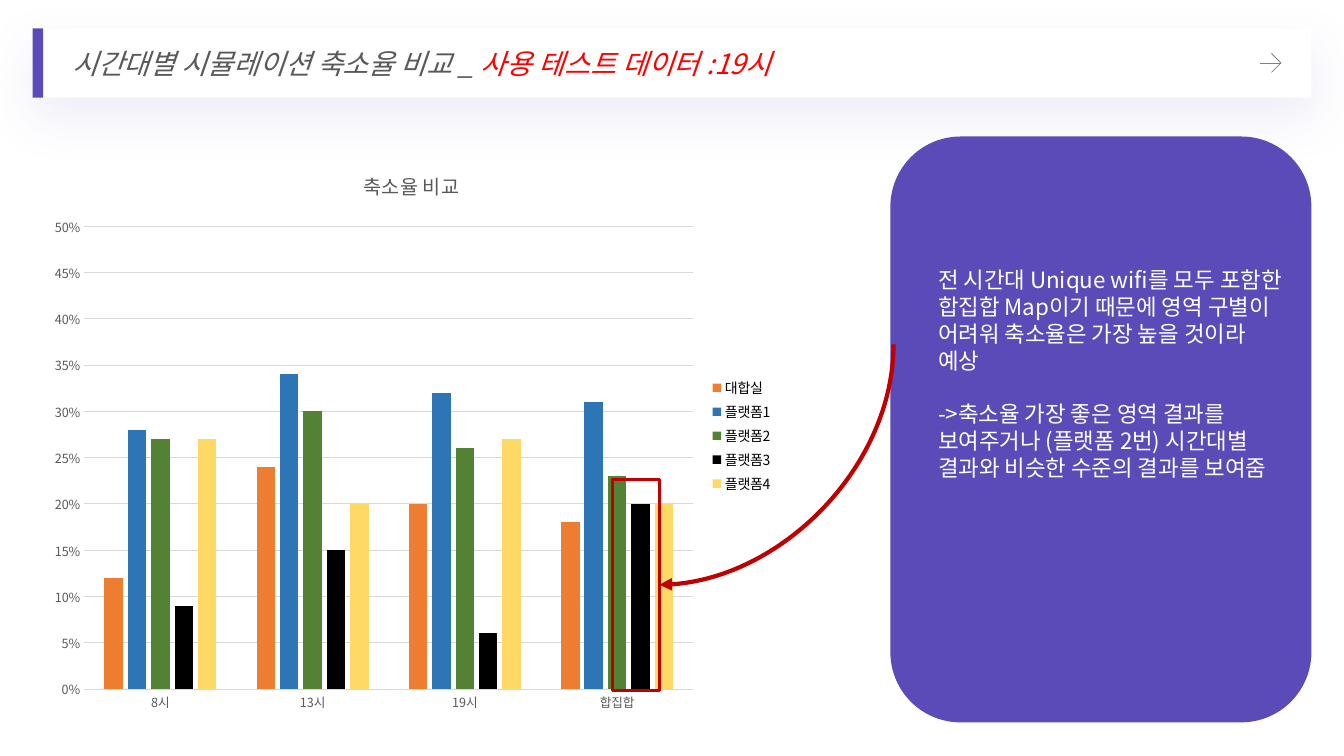
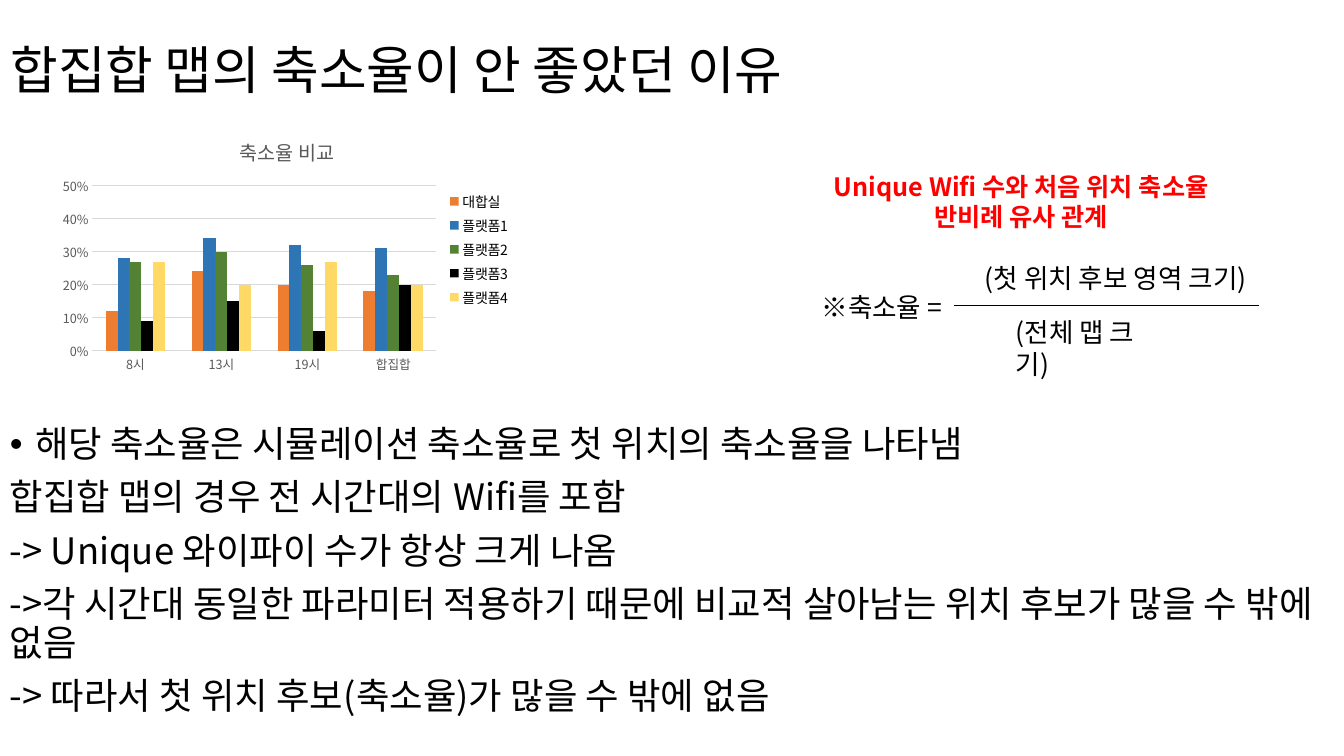
"""Build two slides on reduction rates by time of day."""
from lxml.etree import SubElement
from pptx import Presentation
from pptx.chart.data import CategoryChartData
from pptx.dml.color import RGBColor
from pptx.enum.chart import XL_CHART_TYPE, XL_LEGEND_POSITION, XL_TICK_MARK
from pptx.enum.shapes import MSO_CONNECTOR, MSO_SHAPE
from pptx.enum.text import MSO_ANCHOR, MSO_AUTO_SIZE, PP_ALIGN
from pptx.oxml.ns import qn
from pptx.util import Pt

PX = 9525
FONT = "Noto Sans CJK KR"
COLORS = {
    "purple": "5B4BB9", "white": "FFFFFF", "black": "000000", "gray": "595959",
    "icon": "808080", "grid": "D9D9D9", "red": "FF0000", "mark": "C00000",
    "orange": "ED7D31", "blue": "2E75B6", "green": "548235", "yellow": "FFD966",
}
CATEGORIES = ["8시", "13시", "19시", "합집합"]
SERIES = [
    ("대합실", "orange", (0.12, 0.24, 0.2, 0.18)),
    ("플랫폼1", "blue", (0.28, 0.34, 0.32, 0.31)),
    ("플랫폼2", "green", (0.27, 0.3, 0.26, 0.23)),
    ("플랫폼3", "black", (0.09, 0.15, 0.06, 0.2)),
    ("플랫폼4", "yellow", (0.27, 0.2, 0.27, 0.2)),
]
EXPECTATION = [
    "전 시간대 Unique wifi를 모두 포함한 합집합 Map이기 때문에 영역 구별이 어려워 "
    "축소율은 가장 높을 것이라 예상",
    "->축소율 가장 좋은 영역 결과를 보여주거나 (플랫폼 2번) 시간대별 결과와 비슷한 "
    "수준의 결과를 보여줌",
]
REASONS = [
    "해당 축소율은 시뮬레이션 축소율로 첫 위치의 축소율을 나타냄",
    "합집합 맵의 경우 전 시간대의 Wifi를 포함",
    "-> Unique 와이파이 수가 항상 크게 나옴",
    "->각 시간대 동일한 파라미터 적용하기 때문에 비교적 살아남는 위치 후보가 많을 수 밖에 없음",
    "-> 따라서 첫 위치 후보(축소율)가 많을 수 밖에 없음",
]


def rgb(name):
    """Return a named colour."""
    return RGBColor.from_string(COLORS[name])


def style(font, size, color="black", bold=False, italic=False):
    """Format a font for Latin and Korean text."""
    font.size, font.bold, font.italic = Pt(size), bold, italic
    font.color.rgb = rgb(color)
    font.name = FONT
    latin = font._element.find(qn("a:latin"))
    ea = SubElement(font._element, qn("a:ea"), typeface=FONT)
    latin.addnext(ea)


def write(p, text, align=PP_ALIGN.LEFT, **fmt):
    """Add a formatted run to a paragraph."""
    p.alignment = align
    r = p.add_run()
    r.text = text
    style(r.font, **fmt)


class Deck:
    """Hold the style and the current slide."""

    def __init__(self):
        """Start a widescreen presentation."""
        self.prs = Presentation()
        self.prs.slide_width, self.prs.slide_height = 1280 * PX, 720 * PX

    def slide(self):
        """Add a title-only slide."""
        self.s = self.prs.slides.add_slide(self.prs.slide_layouts[5])

    def title(self, x, y, w, h, runs, indent=10, spacing=1.0):
        """Place the title and write its runs."""
        sp = self.s.shapes.title
        sp.left, sp.top, sp.width, sp.height = x * PX, y * PX, w * PX, h * PX
        tf = sp.text_frame
        tf.auto_size, tf.vertical_anchor = MSO_AUTO_SIZE.NONE, MSO_ANCHOR.MIDDLE
        tf.margin_left = indent * PX
        p = tf.paragraphs[0]
        p.line_spacing = spacing
        for text, fmt in runs:
            write(p, text, **fmt)
        return sp

    def banner(self, runs):
        """Draw the title band with its soft shadow, accent and arrow."""
        sp = self.title(31, 27, 1218, 66, runs, indent=38)
        sp.fill.solid()
        sp.fill.fore_color.rgb = rgb("white")
        sp.line.fill.background()
        effects = SubElement(sp._element.spPr, qn("a:effectLst"))
        shadow = SubElement(effects, qn("a:outerShdw"), blurRad=str(Pt(35)),
                            dist=str(Pt(13)), dir="5400000", algn="t", rotWithShape="0")
        color = SubElement(shadow, qn("a:srgbClr"), val=COLORS["purple"])
        SubElement(color, qn("a:alpha"), val="10000")
        self.shape(MSO_SHAPE.RECTANGLE, 31, 27, 10, 66, fill="purple")
        self.polyline([(1211, 51), (1220, 60), (1211, 69)], "icon", 0.5)
        self.line(1200, 60, 1220, 60, "icon", 0.5)

    def paint(self, sp, fill=None, line=None, width=1):
        """Set fill and line, without a shadow."""
        sp.shadow.inherit = False
        if fill:
            sp.fill.solid()
            sp.fill.fore_color.rgb = rgb(fill)
        else:
            sp.fill.background()
        if line:
            sp.line.color.rgb, sp.line.width = rgb(line), Pt(width)
        else:
            sp.line.fill.background()

    def shape(self, kind, x, y, w, h, **look):
        """Add a preset shape."""
        sp = self.s.shapes.add_shape(kind, x * PX, y * PX, w * PX, h * PX)
        self.paint(sp, **look)

    def polyline(self, points, color, width):
        """Add an open outline."""
        fb = self.s.shapes.build_freeform(*points[0], scale=PX)
        fb.add_line_segments(points[1:], close=False)
        self.paint(fb.convert_to_shape(), line=color, width=width)

    def line(self, x1, y1, x2, y2, color, width, kind=MSO_CONNECTOR.STRAIGHT):
        """Add a connector."""
        cx = self.s.shapes.add_connector(kind, x1 * PX, y1 * PX, x2 * PX, y2 * PX)
        cx.line.color.rgb, cx.line.width = rgb(color), Pt(width)
        SubElement(cx._element.spPr, qn("a:effectLst"))
        return cx

    def curve(self, x1, y1, x2, y2, color, width):
        """Add a quarter-turn connector with an arrowhead at its start."""
        cx = self.line(x1, y1, x2, y2, color, width, MSO_CONNECTOR.CURVE)
        cx._element.spPr.find(qn("a:prstGeom")).set("prst", "curvedConnector2")
        SubElement(cx.line._get_or_add_ln(), qn("a:headEnd"), type="triangle")

    def text(self, x, y, w, h, lines, before=0, after=0, spacing=1.0, **fmt):
        """Add a wrapped text box with one paragraph per line."""
        tf = self.s.shapes.add_textbox(x * PX, y * PX, w * PX, h * PX).text_frame
        tf.word_wrap = True
        for i, text in enumerate(lines):
            p = tf.add_paragraph() if i else tf.paragraphs[0]
            p.space_before, p.space_after = Pt(before), Pt(after)
            p.line_spacing = spacing
            write(p, text, **fmt)
        return tf

    def bullet(self, p, indent):
        """Give a paragraph a hanging bullet."""
        pPr = p._p.get_or_add_pPr()
        pPr.set("marL", str(indent * PX))
        pPr.set("indent", str(-indent * PX))
        SubElement(pPr, qn("a:buFont"), typeface="Arial")
        SubElement(pPr, qn("a:buChar"), char="•")

    def chart(self, x, y, w, h, overlap):
        """Add the clustered column chart of reduction rates."""
        data = CategoryChartData(number_format="0%")
        data.categories = CATEGORIES
        for name, _, values in SERIES:
            data.add_series(name, values)
        chart = self.s.shapes.add_chart(XL_CHART_TYPE.COLUMN_CLUSTERED, x * PX, y * PX,
                                        w * PX, h * PX, data).chart
        style(chart.font, 10)
        chart.has_title = True
        write(chart.chart_title.text_frame.paragraphs[0], "축소율 비교",
              align=None, size=14, color="gray")
        chart.chart_title.include_in_layout = False
        chart.has_legend = True
        chart.legend.position = XL_LEGEND_POSITION.RIGHT
        chart.legend.include_in_layout = False
        plot = chart.plots[0]
        plot.gap_width, plot.overlap, plot.vary_by_categories = 219, overlap, False
        for ser, (_, color, _) in zip(plot.series, SERIES):
            ser.format.fill.solid()
            ser.format.fill.fore_color.rgb = rgb(color)
            ser.invert_if_negative = False
        cat, val = chart.category_axis, chart.value_axis
        for axis in (cat, val):
            axis.major_tick_mark = axis.minor_tick_mark = XL_TICK_MARK.NONE
            style(axis.tick_labels.font, 9, "gray")
        val.minimum_scale, val.maximum_scale = 0, 0.5
        val.tick_labels.number_format = "0%"
        val.tick_labels.number_format_is_linked = False
        val.format.line.fill.background()
        for line in (cat.format.line, val.major_gridlines.format.line):
            line.color.rgb, line.width = rgb("grid"), Pt(0.75)


def main():
    """Build both slides and save them."""
    d = Deck()
    d.slide()
    d.banner([
        ("시간대별 시뮬레이션 축소율 비교 _ ", dict(size=20, color="gray", italic=True)),
        ("사용 테스트 데이터 :19시", dict(size=20, color="red", italic=True)),
    ])
    d.shape(MSO_SHAPE.ROUNDED_RECTANGLE, 848, 130, 401, 558, fill="purple")
    d.chart(38, 142, 708, 546, overlap=-27)
    d.text(884, 249, 353, 217, EXPECTATION, after=19, size=16, color="white")
    d.shape(MSO_SHAPE.RECTANGLE, 583, 457, 45, 201, line="mark", width=2.25)
    d.curve(628, 557, 851, 328, "mark", 3)

    d.slide()
    d.title(0, 0, 1280, 139, [("합집합 맵의 축소율이 안 좋았던 이유", dict(size=37))], spacing=0.9)
    tf = d.text(0, 401, 1280, 319, REASONS, before=10, spacing=0.9, size=26)
    d.bullet(tf.paragraphs[0], 24)
    d.chart(51, 115, 445, 245, overlap=2)
    d.text(716, 158, 513, 68, ["Unique Wifi 수와 처음 위치 축소율", "반비례 유사 관계"],
           align=PP_ALIGN.CENTER, size=18, color="red", bold=True)
    d.text(898, 245, 329, 40, ["(첫 위치 후보 영역 크기)"], align=PP_ALIGN.CENTER, size=19)
    d.text(958, 296, 159, 40, ["(전체 맵 크기)"], size=19)
    d.line(909, 291, 1199, 291, "black", 0.5)
    d.text(773, 272, 143, 40, ["※축소율 ="], size=19)
    d.prs.save("out.pptx")


if __name__ == "__main__":
    main()
